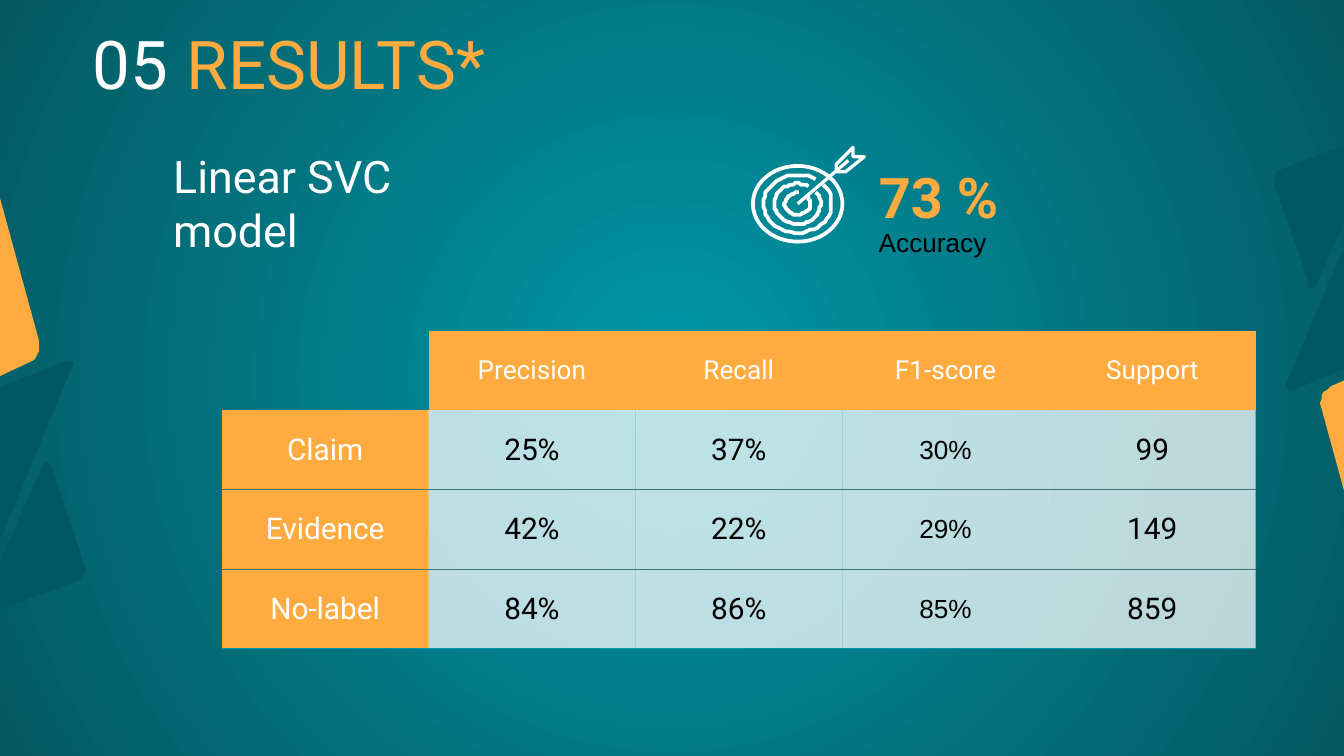
from math import cos, hypot, radians, sin

from lxml.etree import SubElement
from pptx import Presentation
from pptx.dml.color import RGBColor
from pptx.enum.shapes import MSO_CONNECTOR as Connector, MSO_SHAPE as Shape
from pptx.enum.text import MSO_ANCHOR as Anchor, PP_ALIGN as Align
from pptx.oxml.ns import qn
from pptx.util import Pt

WHITE, BLACK, ORANGE, TEAL, DARK = "FFFFFF", "000000", "FFAB40", "0097A7", "005862"
ROW_RULE, COLUMN_RULE = "3F7276", "9FD0D4"
NO_STYLE = "{2D5ABB26-0587-4C30-8999-92F81FD0307C}"

SHARDS = [
    (DARK, [(-61, 232.5), (-43, 278), (-21.5, 340), (41.5, 191)]),
    (DARK, [(-13, 331), (48, 309.5), (25.5, 243.5)]),
    (ORANGE, [(-38.5, 219), (22.8, 191), (-10.5, 69)]),
]
RINGS = [(24, 20.3, 0, 360), (18.2, 15.5, 58, 400), (12.4, 10.8, 61, 397), (6.9, 5.8, 80, 401)]
FLETCHING = [(45, 9.5), (54.5, 1), (54.5, 6), (60.5, 6), (50.8, 14), (45, 14)]
RESULTS = [
    ["", "Precision", "Recall", "F1-score", "Support"],
    ["Claim", "25%", "37%", "30%", "99"],
    ["Evidence", "42%", "22%", "29%", "149"],
    ["No-label", "84%", "86%", "85%", "859"],
]


def rgb(value):
    """Turn a hex string into a colour."""
    return RGBColor.from_string(value)


def style_font(font, size, color, name="Roboto", bold=False):
    """Set the look of a font."""
    font.size, font.name, font.bold = Pt(size), name, bold
    font.color.rgb = rgb(color)


def paint_background(slide, inner, outer):
    """Fill the slide with a gradient that spreads from its centre."""
    fill = slide.background.fill
    fill.gradient()
    for stop, color in zip(fill.gradient_stops, (inner, outer)):
        stop.color.rgb = rgb(color)
    gradient = slide.element.find(".//" + qn("a:gradFill"))
    gradient.remove(gradient.find(qn("a:lin")))
    circle = SubElement(gradient, qn("a:path"), path="circle")
    SubElement(circle, qn("a:fillToRect"), l="50000", t="50000", r="50000", b="50000")


def add_outline(slide, points, closed, fill=None, line=None, width=2):
    """Draw a freeform through points."""
    builder = slide.shapes.build_freeform(*points[0], scale=Pt(1))
    builder.add_line_segments(points[1:], close=closed)
    shape = builder.convert_to_shape()
    shape.shadow.inherit = False
    if fill:
        shape.fill.solid()
        shape.fill.fore_color.rgb = rgb(fill)
    else:
        shape.fill.background()
    if line:
        shape.line.color.rgb = rgb(line)
        shape.line.width = Pt(width)
    else:
        shape.line.fill.background()


def round_corners(corners, trim=8, steps=6):
    """Return the points of a polygon with rounded corners."""
    points = []
    for index, (x, y) in enumerate(corners):
        ends = []
        for other_x, other_y in (corners[index - 1], corners[(index + 1) % len(corners)]):
            share = trim / hypot(other_x - x, other_y - y)
            ends.append((x + (other_x - x) * share, y + (other_y - y) * share))
        (ax, ay), (bx, by) = ends
        for step in range(steps + 1):
            t = step / steps
            a, m, b = (1 - t) ** 2, 2 * t * (1 - t), t * t
            points.append((a * ax + m * x + b * bx, a * ay + m * y + b * by))
    return points


def add_shards(slide, width, height):
    """Place the shards at the left and, turned by half a circle, at the right."""
    for color, corners in SHARDS:
        points = round_corners(corners)
        add_outline(slide, points, True, fill=color)
        add_outline(slide, [(width - x, height - y) for x, y in points], True, fill=color)


def add_text(slide, left, top, width, height, runs, inset=3.6, anchor=Anchor.TOP):
    """Add a text box whose runs are given as text and font settings."""
    frame = slide.shapes.add_textbox(Pt(left), Pt(top), Pt(width), Pt(height)).text_frame
    frame.word_wrap = True
    frame.vertical_anchor = anchor
    frame.margin_top = frame.margin_bottom = Pt(inset)
    paragraph = frame.paragraphs[0]
    if len(runs) == 1:
        paragraph.text = runs[0][0]
        style_font(paragraph.font, *runs[0][1:])
        return
    for text, *settings in runs:
        run = paragraph.add_run()
        run.text = text
        style_font(run.font, *settings)


def add_target(slide, left, top):
    """Draw a target of broken rings with an arrow in its centre."""
    center_x, center_y = left + 24.8, top + 31.2
    rx, ry, *_ = RINGS[0]
    ring = slide.shapes.add_shape(
        Shape.OVAL, Pt(center_x - rx), Pt(center_y - ry), Pt(2 * rx), Pt(2 * ry))
    ring.shadow.inherit = False
    ring.fill.background()
    ring.line.color.rgb = rgb(WHITE)
    ring.line.width = Pt(2)
    for rx, ry, start, end in RINGS[1:]:
        angles = [radians(start + (end - start) * step / 48) for step in range(49)]
        points = [(center_x + rx * cos(a), center_y - ry * sin(a)) for a in angles]
        add_outline(slide, points, False, line=WHITE)
    add_outline(slide, [(left + x, top + y) for x, y in FLETCHING], True, line=WHITE, width=1.75)
    shaft = slide.shapes.add_connector(
        Connector.STRAIGHT, Pt(center_x), Pt(center_y), Pt(left + 52), Pt(top + 8))
    shaft.line.color.rgb = rgb(WHITE)
    shaft.line.width = Pt(1.75)
    SubElement(shaft.element.spPr, qn("a:effectLst"))


def add_accuracy(slide, left, top):
    """Place the target and the accuracy beside it."""
    add_target(slide, left, top + 11)
    add_text(slide, left + 61.2, top, 159, 63.4,
             [("73 %", 30, ORANGE, "Roboto", True)], 7.2, Anchor.BOTTOM)
    add_text(slide, left + 61.2, top + 46.8, 155, 34.6,
             [("Accuracy", 14, BLACK, "Arial")], 7.2)


def set_borders(cell, borders):
    """Draw the named borders of a cell and clear the others."""
    properties = cell._tc.get_or_add_tcPr()
    for index, side in enumerate(("lnL", "lnR", "lnT", "lnB")):
        line = SubElement(properties, qn("a:" + side), w=str(Pt(0.75)))
        if side in borders:
            SubElement(SubElement(line, qn("a:solidFill")), qn("a:srgbClr"), val=borders[side])
        else:
            SubElement(line, qn("a:noFill"))
        properties.insert(index, line)


def fill_cell(cell, row, column):
    """Fill a cell according to its place: corner, heading or value."""
    if row == column == 0:
        cell.fill.background()
        return
    heading = row == 0 or column == 0
    cell.fill.solid()
    cell.fill.fore_color.rgb = rgb(ORANGE if heading else WHITE)
    if not heading:
        color = cell._tc.tcPr.find(".//" + qn("a:srgbClr"))
        SubElement(color, qn("a:alpha"), val="74000")
    paragraph = cell.text_frame.paragraphs[0]
    paragraph.alignment = Align.CENTER
    score = column == 3 and not heading
    style_font(paragraph.font, 14 if row == 0 or score else 16,
               WHITE if heading else BLACK, "Arial" if score else "Roboto")


def add_results(slide, left, top, width, height):
    """Add the table of scores by class."""
    rows, columns = len(RESULTS), len(RESULTS[0])
    table = slide.shapes.add_table(
        rows, columns, Pt(left), Pt(top), Pt(width), Pt(height)).table
    table._tbl.tblPr.find(qn("a:tableStyleId")).text = NO_STYLE
    for row, texts in enumerate(RESULTS):
        for column, text in enumerate(texts):
            cell = table.cell(row, column)
            cell.text = text
            cell.vertical_anchor = Anchor.MIDDLE
            cell.margin_left = cell.margin_right = Pt(7.2)
            cell.margin_top = cell.margin_bottom = Pt(7.2)
            fill_cell(cell, row, column)
            borders = {}
            if row > 0:
                borders["lnB"] = TEAL if row == rows - 1 else ROW_RULE
            if row > 1:
                borders["lnT"] = ROW_RULE
            if row and column in (1, 2):
                borders["lnR"] = COLUMN_RULE
            if row and column in (2, 3):
                borders["lnL"] = COLUMN_RULE
            set_borders(cell, borders)


def main():
    """Build the slide and save it."""
    presentation = Presentation()
    presentation.slide_width, presentation.slide_height = Pt(720), Pt(405)
    slide = presentation.slides.add_slide(presentation.slide_layouts[6])
    paint_background(slide, TEAL, "045962")
    add_shards(slide, 728.6, 401.8)
    add_text(slide, 42.5, 8.6, 361, 51, [
        ("05", 36, WHITE), (" ", 36, WHITE, "Arial"), ("RESULTS*", 36, ORANGE)])
    add_results(slide, 118.8, 177.2, 554, 170.4)
    add_accuracy(slide, 402.5, 67)
    add_text(slide, 85.7, 76.3, 198, 36, [("Linear SVC model", 24, WHITE)])
    presentation.save("out.pptx")


if __name__ == "__main__":
    main()
